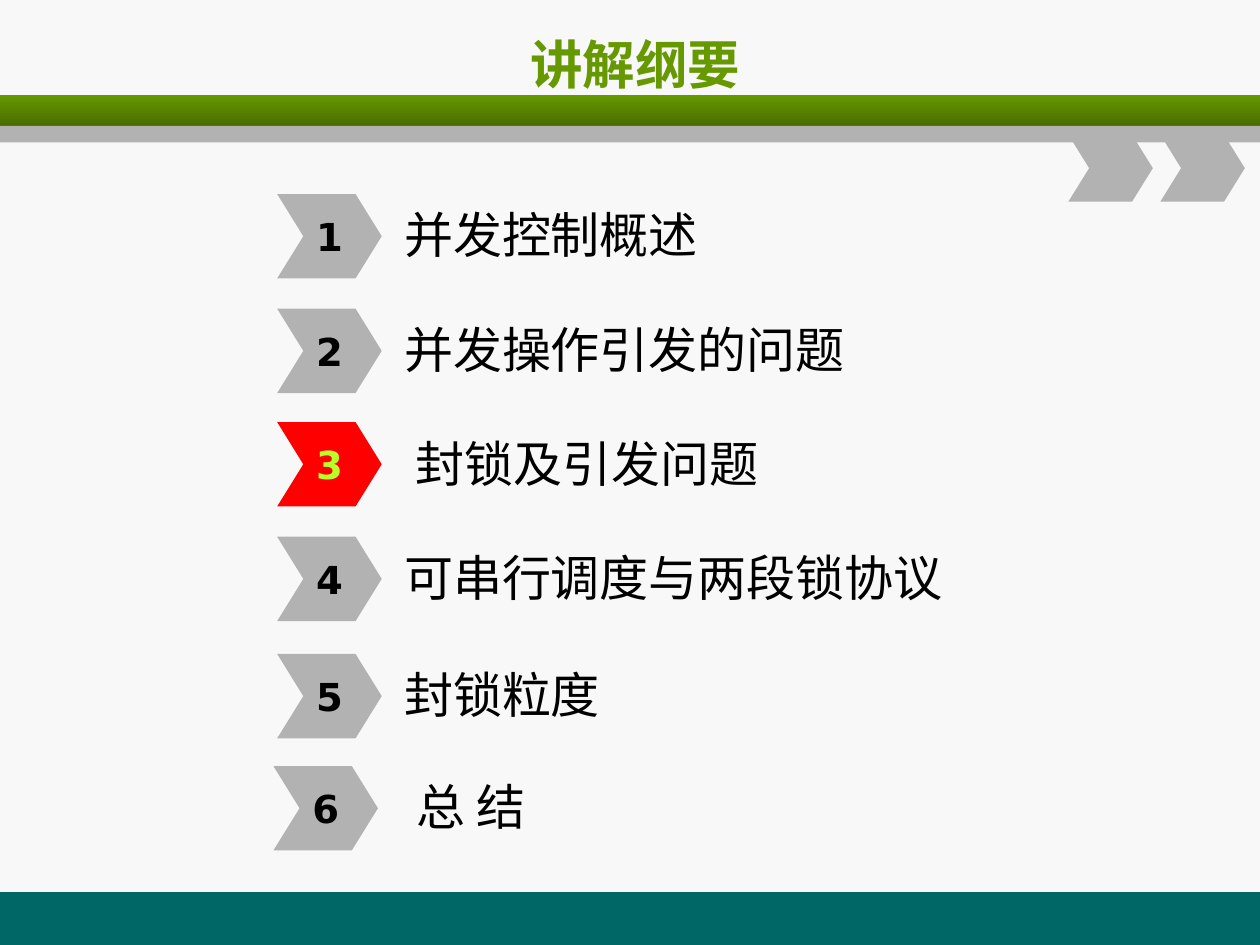
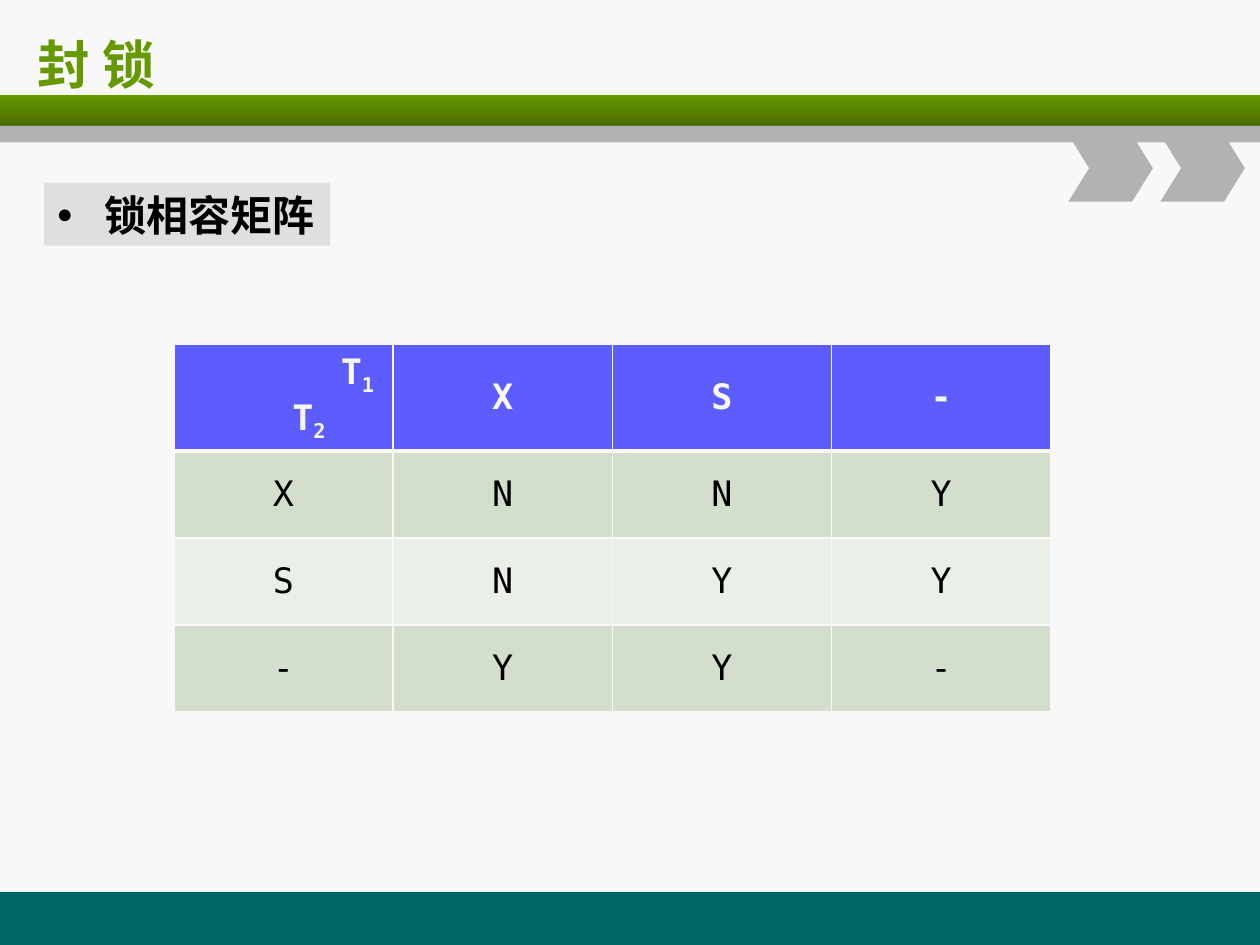
"""Build two slides on locking: the lecture outline and the lock compatibility matrix."""
import lxml.etree
import pptx
import pptx.dml.color
import pptx.enum.shapes
import pptx.enum.text
import pptx.oxml.ns
import pptx.util

Inches = pptx.util.Inches
Pt = pptx.util.Pt
Align = pptx.enum.text.PP_ALIGN
Middle = pptx.enum.text.MSO_ANCHOR.MIDDLE
Preset = pptx.enum.shapes.MSO_SHAPE
qn = pptx.oxml.ns.qn

SANS, MONO, CJK = "DejaVu Sans", "DejaVu Sans Mono", "Noto Sans CJK SC"
PAPER, INK, GREEN, DARK_GREEN = "F8F8F8", "000000", "669900", "496D00"
GREY, TEAL, RED, LIME = "B2B2B2", "006666", "FF0000", "B8FF29"
PALE_GREY, BLUE, SAGE, PALE_SAGE = "DFDFDF", "5C5CFF", "D3DECC", "EAEFE7"

BANDS = [
    (Preset.RECTANGLE, (0, 7.08, 10, 0.42), TEAL),
    (Preset.RECTANGLE, (0, 0.75, 10, 0.25), GREEN),
    (Preset.RECTANGLE, (0, 1, 10, 0.13), GREY),
    (Preset.CHEVRON, (8.48, 1.07, 0.67, 0.53), GREY),
    (Preset.CHEVRON, (9.21, 1.07, 0.67, 0.53), GREY),
]

OUTLINE_TITLE = "讲解纲要"
OUTLINE = [
    ("并发控制概述", 2.2, 1.54, 3.11),
    ("并发操作引发的问题", 2.2, 2.45, 3.11),
    ("封锁及引发问题", 2.2, 3.35, 3.2),
    ("可串行调度与两段锁协议", 2.2, 4.26, 3.11),
    ("封锁粒度", 2.2, 5.19, 3.11),
    ("总 结", 2.17, 6.08, 3.21),
]
CURRENT = 3

MATRIX_TITLE = "封 锁"
MATRIX_TOPIC = "锁相容矩阵"
MATRIX = [
    ["", "X", "S", "-"],
    ["X", "N", "N", "Y"],
    ["S", "N", "Y", "Y"],
    ["-", "Y", "Y", "-"],
]
ROW_FILLS = [BLUE, SAGE, PALE_SAGE, SAGE]
ROW_HEIGHTS = [0.85, 0.69, 0.69, 0.69]
COLUMN_WIDTH = 1.74


def rgb(code):
    return pptx.dml.color.RGBColor.from_string(code)


def paint(target, code):
    target.fill.solid()
    target.fill.fore_color.rgb = rgb(code)


def style(paragraph, font, size, code, bold=False, align=Align.LEFT):
    paragraph.alignment = align
    paragraph.font.name = font
    paragraph.font.size = Pt(size)
    paragraph.font.bold = bold
    paragraph.font.color.rgb = rgb(code)
    defaults = paragraph._p.get_or_add_pPr().get_or_add_defRPr()
    lxml.etree.SubElement(defaults, qn("a:ea"), typeface=CJK)


def place(shape, box):
    shape.left, shape.top, shape.width, shape.height = map(Inches, box)


def add_block(slide, preset, box, code):
    block = slide.shapes.add_shape(preset, *map(Inches, box))
    block.shadow.inherit = False
    paint(block, code)
    block.line.fill.background()
    if preset == Preset.CHEVRON:
        block.adjustments[0] = 0.31
    return block


def decorate_master(prs, slide):
    """Draw the shared bands and hand them to the slide master."""
    master = prs.slide_master
    paint(master.background, PAPER)
    for preset, box, code in BANDS:
        band = add_block(slide, preset, box, code)
        if code == GREEN:
            band.fill.gradient()
            band.fill.gradient_angle = 270
            for stop, shade, position in zip(band.fill.gradient_stops, (GREEN, DARK_GREEN), (0, 1)):
                stop.color.rgb = rgb(shade)
                stop.position = position
        master.shapes.element.append(band.element)


def set_title(slide, text, box, align):
    title = slide.shapes.title
    place(title, box)
    frame = title.text_frame
    frame.text = text
    frame.vertical_anchor = Middle
    frame.auto_size = pptx.enum.text.MSO_AUTO_SIZE.NONE
    style(frame.paragraphs[0], SANS, 30, GREEN, True, align)


def build_outline(slide):
    set_title(slide, OUTLINE_TITLE, (0.54, 0.17, 9, 0.67), Align.CENTER)
    for number, (topic, left, top, topic_left) in enumerate(OUTLINE, 1):
        current = number == CURRENT
        marker = add_block(slide, Preset.CHEVRON, (left, top, 0.83, 0.67), RED if current else GREY)
        marker.text_frame.text = str(number)
        marker.text_frame.word_wrap = False
        marker.text_frame.vertical_anchor = Middle
        style(marker.text_frame.paragraphs[0], SANS, 22, LIME if current else INK, True, Align.CENTER)

        label = slide.shapes.add_textbox(*map(Inches, (topic_left, top + 0.03, 5.8, 0.58)))
        label.text_frame.text = topic
        label.text_frame.word_wrap = True
        label.text_frame.vertical_anchor = Middle
        style(label.text_frame.paragraphs[0], CJK, 28, INK)


def add_topic(slide):
    topic = slide.placeholders[1]
    place(topic, (0.35, 1.45, 2.27, 0.5))
    paint(topic, PALE_GREY)
    frame = topic.text_frame
    frame.text = MATRIX_TOPIC
    frame.word_wrap = False
    frame.auto_size = pptx.enum.text.MSO_AUTO_SIZE.NONE
    frame.vertical_anchor = Middle
    heading = frame.paragraphs[0]
    heading.space_before = Pt(0)
    props = heading._p.get_or_add_pPr()
    props.set("marL", str(Inches(0.38)))
    props.set("indent", str(-Inches(0.38)))
    lxml.etree.SubElement(props, qn("a:buSzPct"), val="65000")
    lxml.etree.SubElement(props, qn("a:buChar"), char="●")
    style(heading, CJK, 24, INK, True)


def set_borders(cell, bottom):
    props = cell._tc.get_or_add_tcPr()
    for side, width in (("L", 1), ("R", 1), ("T", 1), ("B", bottom)):
        line = lxml.etree.SubElement(props, qn("a:ln" + side), w=str(Pt(width)))
        fill = lxml.etree.SubElement(line, qn("a:solidFill"))
        lxml.etree.SubElement(fill, qn("a:srgbClr"), val=PAPER)


def fill_corner(cell):
    """Write the two transaction names, column one above row one."""
    cell.margin_right = Inches(0.15)
    columns = cell.text_frame.paragraphs[0]
    rows = cell.text_frame.add_paragraph()
    for paragraph, index, align in ((columns, "1", Align.RIGHT), (rows, "2", Align.LEFT)):
        paragraph.add_run().text = "T"
        subscript = paragraph.add_run()
        subscript.text = index
        subscript.font._element.set("baseline", "-25000")
        style(paragraph, MONO, 20, PAPER, True, align)
    rows._p.get_or_add_pPr().set("marL", str(Inches(0.84)))


def add_matrix(slide):
    size = len(MATRIX)
    box = (1.38, 2.73, COLUMN_WIDTH * size, sum(ROW_HEIGHTS))
    matrix = slide.shapes.add_table(size, size, *map(Inches, box)).table
    for column in matrix.columns:
        column.width = Inches(COLUMN_WIDTH)
    for r, (values, code, height) in enumerate(zip(MATRIX, ROW_FILLS, ROW_HEIGHTS)):
        header = r == 0
        matrix.rows[r].height = Inches(height)
        for c, value in enumerate(values):
            cell = matrix.cell(r, c)
            cell.vertical_anchor = Middle
            set_borders(cell, 3 if header else 1)
            paint(cell, code)
            if value:
                cell.text = value
                style(cell.text_frame.paragraphs[0], MONO, 20, PAPER if header else INK, header, Align.CENTER)
            else:
                fill_corner(cell)
    for c in range(size):
        top_line = matrix.cell(1, c)._tc.tcPr.find(qn("a:lnT"))
        top_line.set("w", str(Pt(3)))


def build_matrix(slide):
    set_title(slide, MATRIX_TITLE, (0.2, 0.17, 9.55, 0.67), Align.LEFT)
    add_topic(slide)
    add_matrix(slide)


def main():
    prs = pptx.Presentation()
    prs.slide_width, prs.slide_height = Inches(10), Inches(7.5)
    outline = prs.slides.add_slide(prs.slide_layouts[5])
    decorate_master(prs, outline)
    build_outline(outline)
    build_matrix(prs.slides.add_slide(prs.slide_layouts[1]))
    prs.save("out.pptx")


if __name__ == "__main__":
    main()
